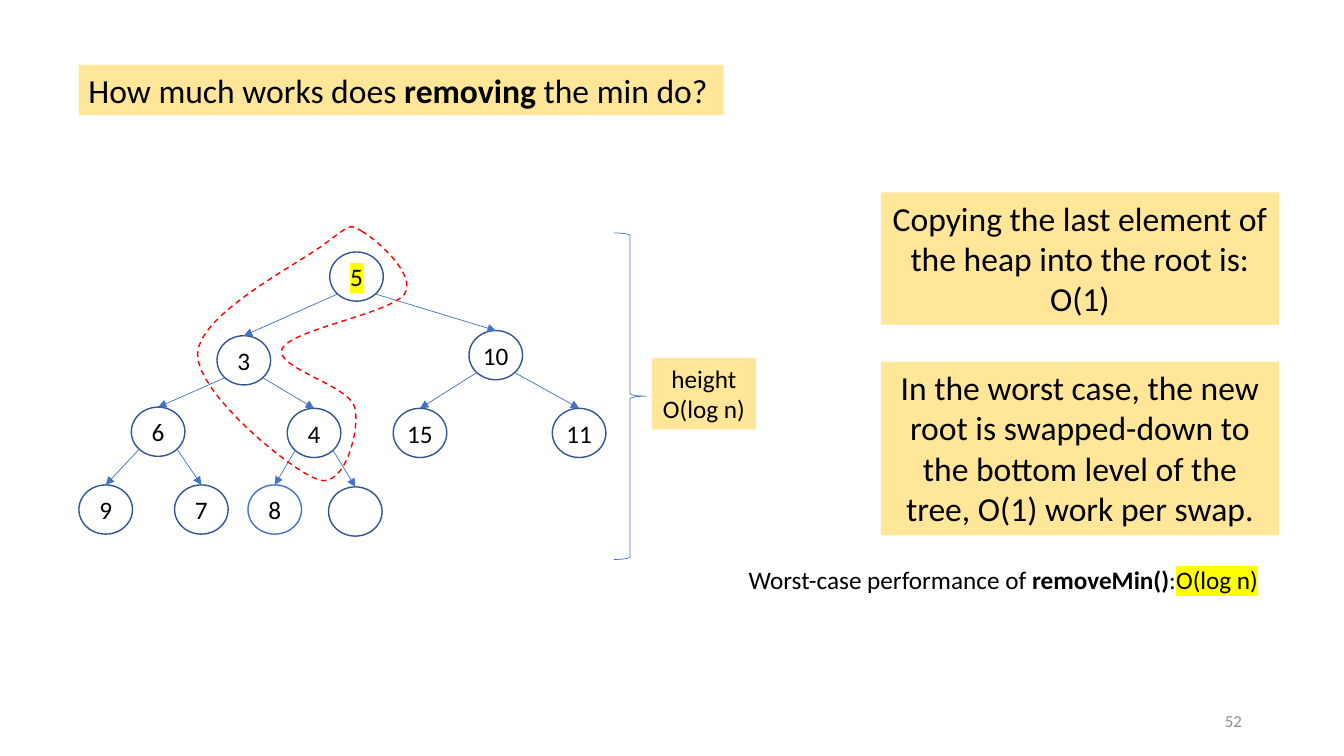
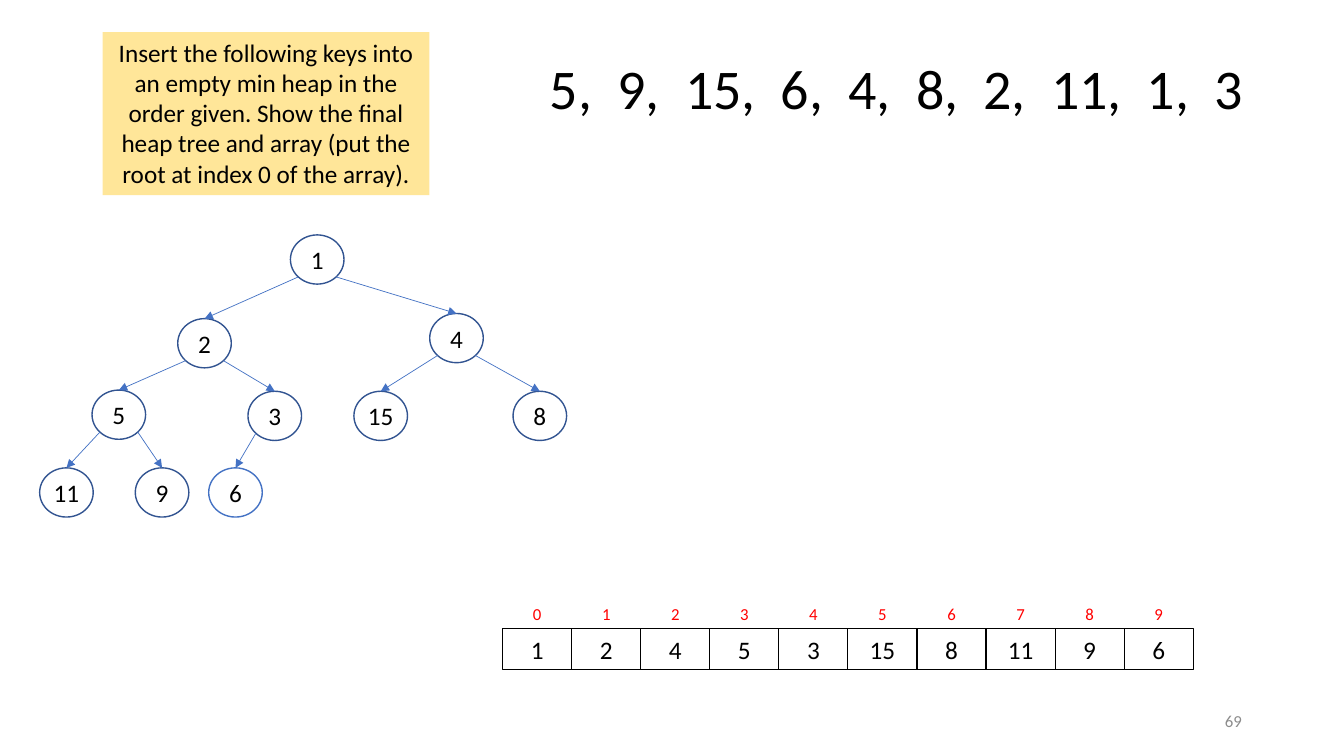
from math import sqrt

from lxml.etree import SubElement
from pptx import Presentation
from pptx.dml.color import RGBColor
from pptx.enum.dml import MSO_LINE
from pptx.enum.shapes import MSO_CONNECTOR, MSO_SHAPE
from pptx.enum.text import MSO_ANCHOR, PP_ALIGN
from pptx.oxml.ns import qn
from pptx.util import Cm, Pt

BLACK = RGBColor(0x00, 0x00, 0x00)
GRAY = RGBColor(0x8C, 0x8C, 0x8C)
RED = RGBColor(0xFF, 0x00, 0x00)
BLUE = RGBColor(0x44, 0x72, 0xC4)
NAVY = RGBColor(0x32, 0x54, 0x91)
SAND = RGBColor(0xFF, 0xE6, 0x99)
YELLOW = RGBColor(0xFF, 0xFF, 0x00)
FONT = "Calibri"

NODE_WIDTH, NODE_HEIGHT = 1.35, 1.24
NODE_OFFSETS = [
    (0, 0),
    (-2.84, 2.11), (3.51, 1.98),
    (-5, 3.91), (-1.07, 3.94), (1.6, 3.94), (5.61, 3.94),
    (-6.32, 5.87), (-3.91, 5.87), (-2.06, 5.87), (-0.03, 5.92),
]
LAST_KEY_INDEX = 9

SWAP_ROUTE_START = (9.14, 5.84)
SWAP_ROUTE_CURVES = [
    ((8.81, 5.64), (8.86, 5.64), (8.18, 6.15)),
    ((7.47, 6.68), (5, 7.92), (4.98, 8.92)),
    ((4.95, 9.91), (7.37, 11.89), (8.03, 12.09)),
    ((8.69, 12.32), (9.09, 10.8), (8.94, 10.26)),
    ((8.79, 9.7), (6.91, 9.27), (7.11, 8.79)),
    ((7.32, 8.31), (9.83, 7.9), (10.19, 7.42)),
    ((10.52, 6.93), (9.5, 6.05), SWAP_ROUTE_START),
]
CURVE_STEPS = 16


def write(shape, lines, size, color=BLACK, align=PP_ALIGN.LEFT,
          anchor=MSO_ANCHOR.TOP, wrap=True, bold=(), highlight=None):
    """Write lines of runs into a shape; runs listed in bold become bold."""
    frame = shape.text_frame
    frame.word_wrap = wrap
    frame.vertical_anchor = anchor
    paragraph = frame.paragraphs[0]
    paragraph.alignment = align
    for number, line in enumerate(lines):
        if number:
            paragraph.add_line_break()
        for text in line:
            run = paragraph.add_run()
            run.text = text
            font = run.font
            font.name, font.size, font.bold = FONT, Pt(size), text in bold
            font.color.rgb = color
            if highlight:
                properties = run._r.get_or_add_rPr()
                mark = SubElement(properties, qn("a:highlight"))
                SubElement(mark, qn("a:srgbClr"), val=str(highlight))
                properties.find(qn("a:solidFill")).addnext(mark)


def add_text(slide, box, lines, size, **style):
    """Add a text box; box is left, top, width and height in cm."""
    write(slide.shapes.add_textbox(*map(Cm, box)), lines, size, **style)


def add_outline(slide, preset, box, color, weight):
    """Add an unfilled preset shape."""
    shape = slide.shapes.add_shape(preset, *map(Cm, box))
    shape.shadow.inherit = False
    shape.fill.background()
    shape.line.color.rgb = color
    shape.line.width = Pt(weight)
    return shape


def add_callout(slide, box, lines, size, align=PP_ALIGN.CENTER, bold=()):
    """Add a sand-coloured box with text."""
    callout = slide.shapes.add_shape(MSO_SHAPE.RECTANGLE, *map(Cm, box))
    callout.shadow.inherit = False
    callout.fill.solid()
    callout.fill.fore_color.rgb = SAND
    callout.line.fill.background()
    write(callout, lines, size, align=align, bold=bold)


def add_node(slide, left, top, key, color, highlight):
    """Add one heap node with its key, if it has one."""
    node = add_outline(slide, MSO_SHAPE.OVAL,
                       (left, top, NODE_WIDTH, NODE_HEIGHT), color, 1)
    frame = node.text_frame
    frame.margin_left = frame.margin_right = 0
    frame.margin_top = frame.margin_bottom = 0
    if key:
        write(node, [[key]], 18, align=PP_ALIGN.CENTER,
              anchor=MSO_ANCHOR.MIDDLE, wrap=False, highlight=highlight)
    return node


def add_edge(slide, parent, child, side):
    """Draw an arrow from the lower side (-1 left, 1 right) of parent to child."""
    start_x = parent.left + parent.width * (1 + side / sqrt(2)) / 2
    start_y = parent.top + parent.height * (1 + 1 / sqrt(2)) / 2
    edge = slide.shapes.add_connector(
        MSO_CONNECTOR.STRAIGHT, int(start_x), int(start_y),
        child.left + child.width // 2, child.top)
    edge.end_connect(child, 0)
    edge.line.color.rgb = BLUE
    edge.line.width = Pt(0.5)
    properties = edge._element.spPr
    SubElement(properties.find(qn("a:ln")), qn("a:tailEnd"), type="triangle")
    SubElement(properties, qn("a:effectLst"))


def add_heap(slide, root_left, root_top, keys, root_highlight=None):
    """Draw a heap from its keys in level order."""
    nodes = []
    for index, (key, (dx, dy)) in enumerate(zip(keys, NODE_OFFSETS)):
        node = add_node(slide, root_left + dx, root_top + dy, key,
                        BLUE if index == LAST_KEY_INDEX else NAVY,
                        None if index else root_highlight)
        nodes.append(node)
        if index:
            add_edge(slide, nodes[(index - 1) // 2], node,
                     -1 if index % 2 else 1)


def add_swap_route(slide):
    """Draw the dashed loop around the swapped nodes."""
    start, points = SWAP_ROUTE_START, []
    for first, second, end in SWAP_ROUTE_CURVES:
        for step in range(1, CURVE_STEPS + 1):
            t = step / CURVE_STEPS
            points.append(tuple(
                Cm((1 - t) ** 3 * a + 3 * (1 - t) ** 2 * t * b
                   + 3 * (1 - t) * t ** 2 * c + t ** 3 * d)
                for a, b, c, d in zip(start, first, second, end)))
        start = end
    builder = slide.shapes.build_freeform(*map(Cm, SWAP_ROUTE_START))
    builder.add_line_segments(points, close=True)
    route = builder.convert_to_shape()
    route.shadow.inherit = False
    route.fill.background()
    route.line.color.rgb = RED
    route.line.width = Pt(1)
    route.line.dash_style = MSO_LINE.DASH


def add_array(slide, left, top, keys):
    """Draw the heap array as cells with their indices above."""
    cell_width, cell_height, index_height = 1.74, 1.02, 0.76
    for index, key in enumerate(keys):
        cell_left = left + index * cell_width
        cell = add_outline(slide, MSO_SHAPE.RECTANGLE,
                           (cell_left, top, cell_width, cell_height),
                           BLACK, 0.75)
        write(cell, [[key]], 18, align=PP_ALIGN.CENTER)
        add_text(slide,
                 (cell_left, top - index_height, cell_width, index_height),
                 [[str(index)]], 12, color=RED, align=PP_ALIGN.CENTER)


def add_numbered_slide(deck, number):
    """Add a blank slide with its page number."""
    slide = deck.slides.add_slide(deck.slide_layouts[6])
    add_text(slide, (23.93, 17.65, 7.62, 1.02), [[number]], 12, color=GRAY,
             align=PP_ALIGN.RIGHT, anchor=MSO_ANCHOR.MIDDLE)
    return slide


def build_remove_slide(deck):
    """Build the slide on the cost of removing the minimum."""
    slide = add_numbered_slide(deck, "52")
    add_heap(slide, 8.31, 6.35,
             ["5", "3", "10", "6", "4", "15", "11", "9", "7", "8", None],
             root_highlight=YELLOW)
    add_callout(slide, (1.98, 1.63, 16.26, 1.27),
                [["How much works does ", "removing", " the min do?"]], 24,
                align=PP_ALIGN.LEFT, bold=("removing",))
    add_callout(slide, (22.2, 4.85, 10.03, 3.33),
                [["Copying the last element of the heap into the root is: "
                  "O(1)"]], 24)
    add_swap_route(slide)
    add_callout(slide, (22.2, 9.12, 10.03, 4.37),
                [["In the worst case, the new root is swapped-down to the "
                  "bottom level of the tree, O(1) work per swap."]], 24)
    add_outline(slide, MSO_SHAPE.RIGHT_BRACE, (15.47, 5.87, 0.81, 8.23),
                BLUE, 0.5)
    add_text(slide, (18.62, 14.1, 11.35, 1.02),
             [["Worst-case performance of ", "removeMin()", ":"]], 18,
             bold=("removeMin()",))
    add_text(slide, (29.39, 14.1, 2.59, 1.02), [["O(log n)"]], 18,
             wrap=False, highlight=YELLOW)
    add_callout(slide, (16.43, 9.02, 2.62, 1.8),
                [["height"], ["O(log n)"]], 18)


def build_insert_slide(deck):
    """Build the exercise on inserting keys into a min heap."""
    slide = add_numbered_slide(deck, "69")
    heap = ["1", "2", "4", "5", "3", "15", "8", "11", "9", "6"]
    add_array(slide, 12.67, 15.85, heap)
    add_callout(slide, (2.59, 0.81, 8.23, 4.11),
                [["Insert the following keys into an empty min heap in the "
                  "order given. Show the final heap tree and array (put the "
                  "root at index 0 of the array)."]], 18)
    add_heap(slide, 7.32, 5.92, heap)
    add_text(slide, (13.61, 1.22, 18.14, 1.96),
             [["5,  9,  15,  6,  4,  8,  2,  11,  1,  3"]], 40, wrap=False)


def main():
    """Build and save the deck."""
    deck = Presentation()
    deck.slide_width, deck.slide_height = Cm(33.87), Cm(19.05)
    build_remove_slide(deck)
    build_insert_slide(deck)
    deck.save("out.pptx")


if __name__ == "__main__":
    main()
